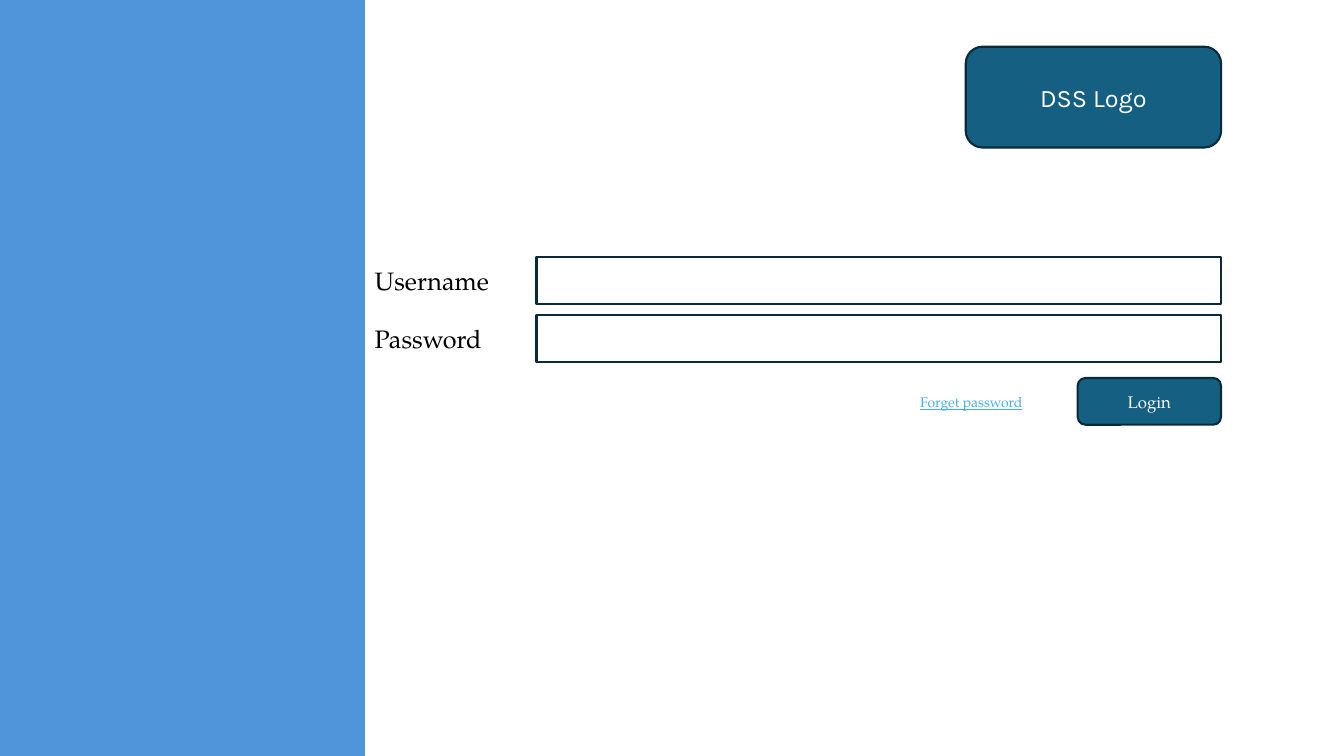
from pptx import Presentation
from pptx.dml.color import RGBColor
from pptx.enum.shapes import MSO_SHAPE as Shape
from pptx.enum.text import MSO_ANCHOR as Anchor, MSO_AUTO_SIZE as AutoSize, PP_ALIGN as Align
from pptx.util import Pt

BLACK = RGBColor(0x00, 0x00, 0x00)
WHITE = RGBColor(0xFF, 0xFF, 0xFF)
OUTLINE = RGBColor(0x09, 0x2A, 0x39)
TEAL = RGBColor(0x15, 0x60, 0x82)
PANEL_BLUE = RGBColor(0x4E, 0x95, 0xD9)
LINK_BLUE = RGBColor(0x46, 0xB1, 0xE1)

SERIF = "TeX Gyre Pagella"
SANS = "Karla"

PANEL_WIDTH = 260.6
RIGHT_EDGE = 872.2
FIELD_LEFT = 383.2
FIELD_TOP = 183.6
FIELD_HEIGHT = 33.4
FIELD_PITCH = 41.6


class LoginForm:
    def __init__(self, slide, font=SERIF):
        self.slide = slide
        self.font = font

    def box(self, kind, left, top, width, height, fill=None, outline=OUTLINE):
        shape = self.slide.shapes.add_shape(kind, Pt(left), Pt(top), Pt(width), Pt(height))
        shape.shadow.inherit = False
        if fill is None:
            shape.fill.background()
        else:
            shape.fill.solid()
            shape.fill.fore_color.rgb = fill
        if outline is None:
            shape.line.fill.background()
        else:
            shape.line.color.rgb = outline
            shape.line.width = Pt(1.5)
        return shape

    def add_text(self, paragraph, text, size, color, font=None, underline=None):
        run = paragraph.add_run()
        run.text = text
        run.font.name = font or self.font
        run.font.size = Pt(size)
        run.font.color.rgb = color
        run.font.underline = underline

    def panel(self, width, height):
        self.box(Shape.RECTANGLE, 0, 0, width, height, PANEL_BLUE, None)

    def field(self, top):
        self.box(Shape.RECTANGLE, FIELD_LEFT, top, RIGHT_EDGE - FIELD_LEFT, FIELD_HEIGHT)

    def button(self, text, top, width, height, size, font=None):
        """Add a rounded button that ends at the right edge of the form."""
        shape = self.box(Shape.ROUNDED_RECTANGLE, RIGHT_EDGE - width, top, width, height, TEAL)
        shape.text_frame.vertical_anchor = Anchor.MIDDLE
        paragraph = shape.text_frame.paragraphs[0]
        paragraph.alignment = Align.CENTER
        self.add_text(paragraph, text, size, WHITE, font)

    def label(self, text, left, top, width, height, size=18, color=BLACK, underline=None):
        text_box = self.slide.shapes.add_textbox(Pt(left), Pt(top), Pt(width), Pt(height))
        frame = text_box.text_frame
        frame.word_wrap = False
        frame.auto_size = AutoSize.SHAPE_TO_FIT_TEXT
        self.add_text(frame.paragraphs[0], text, size, color, underline=underline)


def main():
    presentation = Presentation()
    presentation.slide_width = Pt(960)
    presentation.slide_height = Pt(540)
    form = LoginForm(presentation.slides.add_slide(presentation.slide_layouts[6]))

    for row, (name, width) in enumerate([("Username", 96.5), ("Password", 92.9)]):
        top = FIELD_TOP + row * FIELD_PITCH
        form.field(top)
        form.label(name, PANEL_WIDTH, top + 2.2, width, 29)

    form.button("Login", 270, 102.4, FIELD_HEIGHT, 12)
    form.label("Forget password", 650.2, 277.2, 90, 19.4, 10, LINK_BLUE, True)
    form.button("DSS Logo", 33.4, 182.4, 72, 18, SANS)
    form.panel(PANEL_WIDTH, 540)

    presentation.save("out.pptx")


if __name__ == "__main__":
    main()
